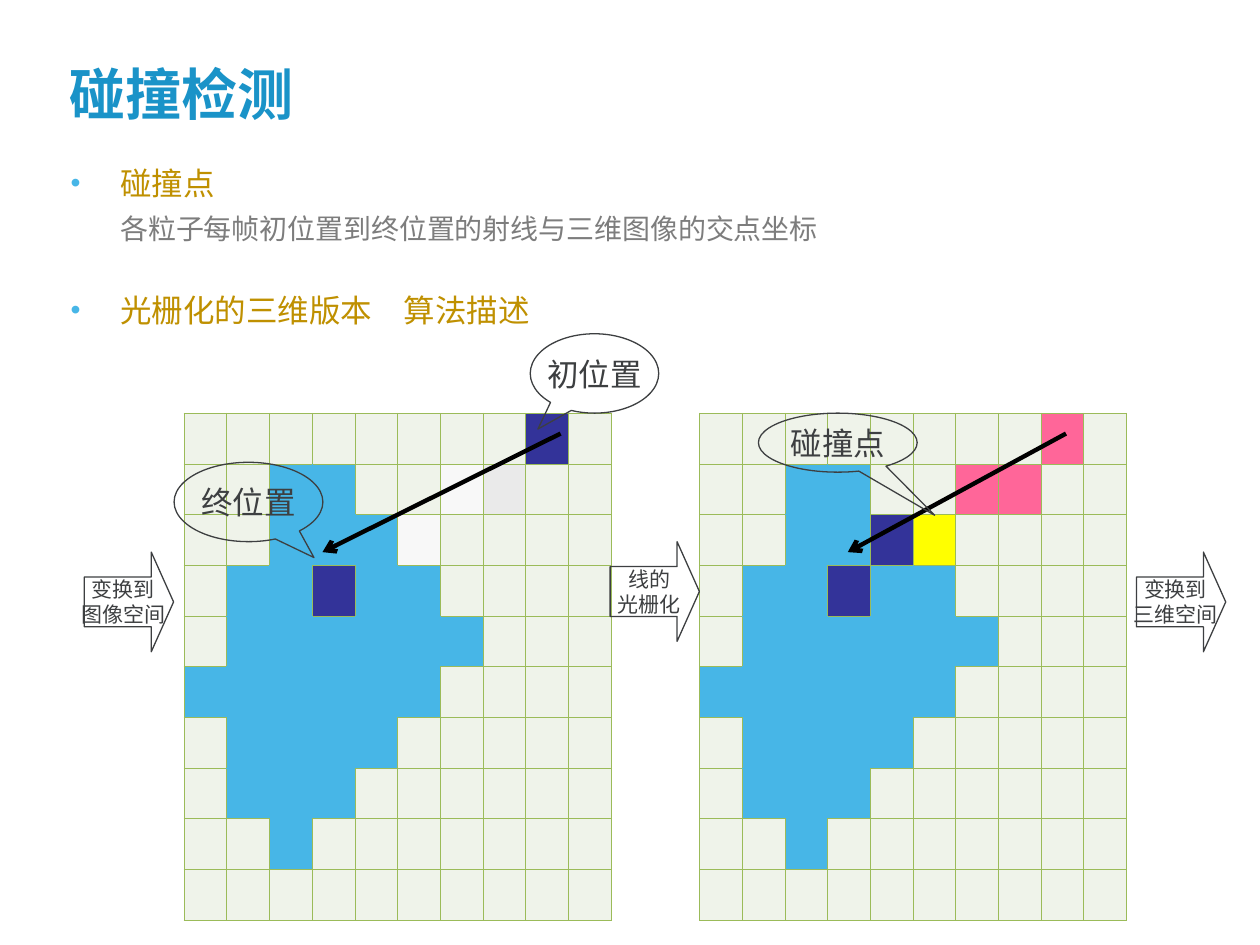
from lxml import etree
from pptx import Presentation
from pptx.dml.color import RGBColor
from pptx.enum.shapes import MSO_CONNECTOR, MSO_SHAPE
from pptx.enum.text import MSO_ANCHOR, MSO_AUTO_SIZE, PP_ALIGN
from pptx.oxml.ns import qn
from pptx.util import Cm, Pt

STRAIGHT = MSO_CONNECTOR.STRAIGHT
BLOCK_ARROW = MSO_SHAPE.RIGHT_ARROW
CALLOUT = MSO_SHAPE.OVAL_CALLOUT
CENTER, JUSTIFY = PP_ALIGN.CENTER, PP_ALIGN.JUSTIFY
MIDDLE, TOP, BOTTOM = MSO_ANCHOR.MIDDLE, MSO_ANCHOR.TOP, MSO_ANCHOR.BOTTOM
NO_AUTOFIT = MSO_AUTO_SIZE.NONE

INK = "3D3F41"
BLUE = "47B6E7"
GRID_LINE = "9BBB59"
CELL_COLORS = {".": "EFF3EA", "b": BLUE, "n": "333399", "p": "FF6699",
               "y": "FFFF00", "w": "F8F8F8", "g": "EAEAEA"}
# The object's voxels, shared by both grids
OBJECT_ROWS = ["..........", "..bb......", "..bbb.....", ".bbnbb....",
               ".bbbbbb...", "bbbbbb....", ".bbbb.....", ".bbb......",
               "..b.......", ".........."]
RAY_CELLS = {(0, 8): "n", (1, 6): "w", (1, 7): "g", (2, 5): "w"}
RASTER_CELLS = {(0, 8): "p", (1, 6): "p", (1, 7): "p", (2, 4): "n", (2, 5): "y"}

HEADING = {"size": 18, "font": "Arial", "color": "BF9000"}
DETAIL = {"size": 16, "font": "Noto Sans CJK SC", "color": "7D7D7D"}
TITLE = {"size": 32, "font": "Montserrat", "color": "1A93C8", "bold": True}
STEP = {"size": 12, "font": "Arial", "color": INK}
LABEL = {"size": 18, "font": "Arial", "color": INK}
HEADING_PARA = {"alignment": JUSTIFY, "line_spacing": 1.1, "space_before": Pt(18),
                "space_after": Pt(0)}
DETAIL_PARA = {"alignment": JUSTIFY, "line_spacing": 1.3, "space_before": Pt(0),
               "space_after": Pt(6), "level": 1}


def rgb(color):
    return RGBColor.from_string(color)


def set_values(target, values):
    for name, value in values.items():
        setattr(target, name, value)


def place(shape, left, top, width, height):
    set_values(shape, {"left": Cm(left), "top": Cm(top),
                       "width": Cm(width), "height": Cm(height)})


def add_span(para, text, style):
    span = para.add_run()
    span.text = text
    set_values(span.font, {"size": Pt(style["size"]), "name": style["font"],
                           "bold": style.get("bold", False)})
    span.font.color.rgb = rgb(style["color"])
    east_asian = etree.SubElement(span.font._element, qn("a:ea"))
    east_asian.set("typeface", style["font"])


def set_bullet(para, color=None):
    """Hang a dot of the given colour, or indent without one."""
    properties = para._p.get_or_add_pPr()
    properties.set("marL", str(Cm(1)))
    properties.set("indent", str(-Cm(1) if color else 0))
    if color is None:
        etree.SubElement(properties, qn("a:buNone"))
        return
    bullet_color = etree.SubElement(properties, qn("a:buClr"))
    etree.SubElement(bullet_color, qn("a:srgbClr")).set("val", color)
    etree.SubElement(properties, qn("a:buSzPct")).set("val", "90000")
    etree.SubElement(properties, qn("a:buFont")).set("typeface", "Arial")
    etree.SubElement(properties, qn("a:buChar")).set("char", "•")


def fill_title(page):
    title = page.shapes.title
    place(title, 1.14, 0.74, 23.04, 1.96)
    set_values(title.text_frame, {"vertical_anchor": BOTTOM, "auto_size": NO_AUTOFIT})
    para = title.text_frame.paragraphs[0]
    set_values(para, {"alignment": PP_ALIGN.LEFT, "line_spacing": 0.9})
    add_span(para, "碰撞检测", TITLE)


def fill_body(page):
    body = page.placeholders[1]
    place(body, 1.17, 3.1, 22.94, 5.03)
    frame = body.text_frame
    set_values(frame, {"vertical_anchor": TOP, "auto_size": NO_AUTOFIT})
    items = [("碰撞点", HEADING, HEADING_PARA | {"space_before": Pt(0)}, BLUE),
             ("各粒子每帧初位置到终位置的射线与三维图像的交点坐标", DETAIL, DETAIL_PARA, None),
             ("光栅化的三维版本　算法描述", HEADING, HEADING_PARA, BLUE)]
    for index, (text, style, layout, bullet) in enumerate(items):
        para = frame.add_paragraph() if index else frame.paragraphs[0]
        set_values(para, layout)
        set_bullet(para, bullet)
        add_span(para, text, style)


def set_borders(cell, colors):
    """Draw the four sides, given as left, right, top and bottom colours."""
    properties = cell._tc.get_or_add_tcPr()
    for index, (side, color) in enumerate(zip("LRTB", colors)):
        line = etree.Element(qn(f"a:ln{side}"), w=str(Pt(0.45)))
        fill = etree.SubElement(line, qn("a:solidFill"))
        etree.SubElement(fill, qn("a:srgbClr")).set("val", color)
        properties.insert(index, line)


def add_grid(page, left, changes):
    count = len(OBJECT_ROWS)
    codes = {(r, c): code for r, row in enumerate(OBJECT_ROWS)
             for c, code in enumerate(row)} | changes
    table = page.shapes.add_table(count, count, Cm(left), Cm(8.33),
                                  Cm(8.61), Cm(10.22)).table
    set_values(table, {"first_row": False, "horz_banding": False})
    for (r, c), code in codes.items():
        cell = table.cell(r, c)
        set_values(cell, {"margin_left": 0, "margin_right": 0,
                          "margin_top": 0, "margin_bottom": 0})
        cell.fill.solid()
        cell.fill.fore_color.rgb = rgb(CELL_COLORS[code])
        neighbours = [(r, c - 1), (r, c + 1), (r - 1, c), (r + 1, c)]
        set_borders(cell, [BLUE if code == codes.get(key) == "b" else GRID_LINE
                           for key in neighbours])


def add_ray(page, start_x, end_x):
    ray = page.shapes.add_connector(STRAIGHT, Cm(start_x), Cm(8.74),
                                    Cm(end_x), Cm(11.13))
    ray.line.color.rgb = rgb("000000")
    ray.line.width = Pt(2.5)
    etree.SubElement(ray.line._get_or_add_ln(), qn("a:tailEnd")).set("type", "arrow")
    etree.SubElement(ray._element.spPr, qn("a:effectLst"))


def add_outline(page, kind, frame, adjustments, lines, style):
    """Add an unfilled shape with centred lines of text."""
    shape = page.shapes.add_shape(kind, *map(Cm, frame))
    for index, value in enumerate(adjustments):
        shape.adjustments[index] = value
    shape.shadow.inherit = False
    shape.fill.background()
    shape.line.color.rgb = rgb(INK)
    shape.line.width = Pt(0.75)
    box = shape.text_frame
    set_values(box, {"word_wrap": False, "vertical_anchor": MIDDLE})
    for index, text in enumerate(lines):
        para = box.add_paragraph() if index else box.paragraphs[0]
        para.alignment = CENTER
        add_span(para, text, style)


def main():
    deck = Presentation()
    deck.slide_width, deck.slide_height = Cm(25.4), Cm(19.05)
    page = deck.slides.add_slide(deck.slide_layouts[1])
    fill_title(page)
    fill_body(page)
    add_grid(page, 14.1, RASTER_CELLS)
    add_grid(page, 3.71, RAY_CELLS)
    add_ray(page, 21.49, 17.09)
    add_ray(page, 11.3, 6.5)
    for left, top, lines in [(12.3, 10.92, ["线的", "光栅化"]),
                             (1.7, 11.13, ["变换到", "图像空间"]),
                             (22.91, 11.13, ["变换到", "三维空间"])]:
        add_outline(page, BLOCK_ARROW, (left, top, 1.8, 2.01), (0.5, 0.25), lines, STEP)
    for text, frame, pointer in [
            ("初位置", (10.69, 6.73, 2.59, 1.6), (-0.44, 0.7)),
            ("终位置", (3.51, 9.32, 3, 1.6), (0.44, 0.7)),
            ("碰撞点", (15.29, 8.33, 3.2, 1.19), (0.61, 1.23))]:
        add_outline(page, CALLOUT, frame, pointer, [text], LABEL)
    deck.save("out.pptx")


if __name__ == "__main__":
    main()
